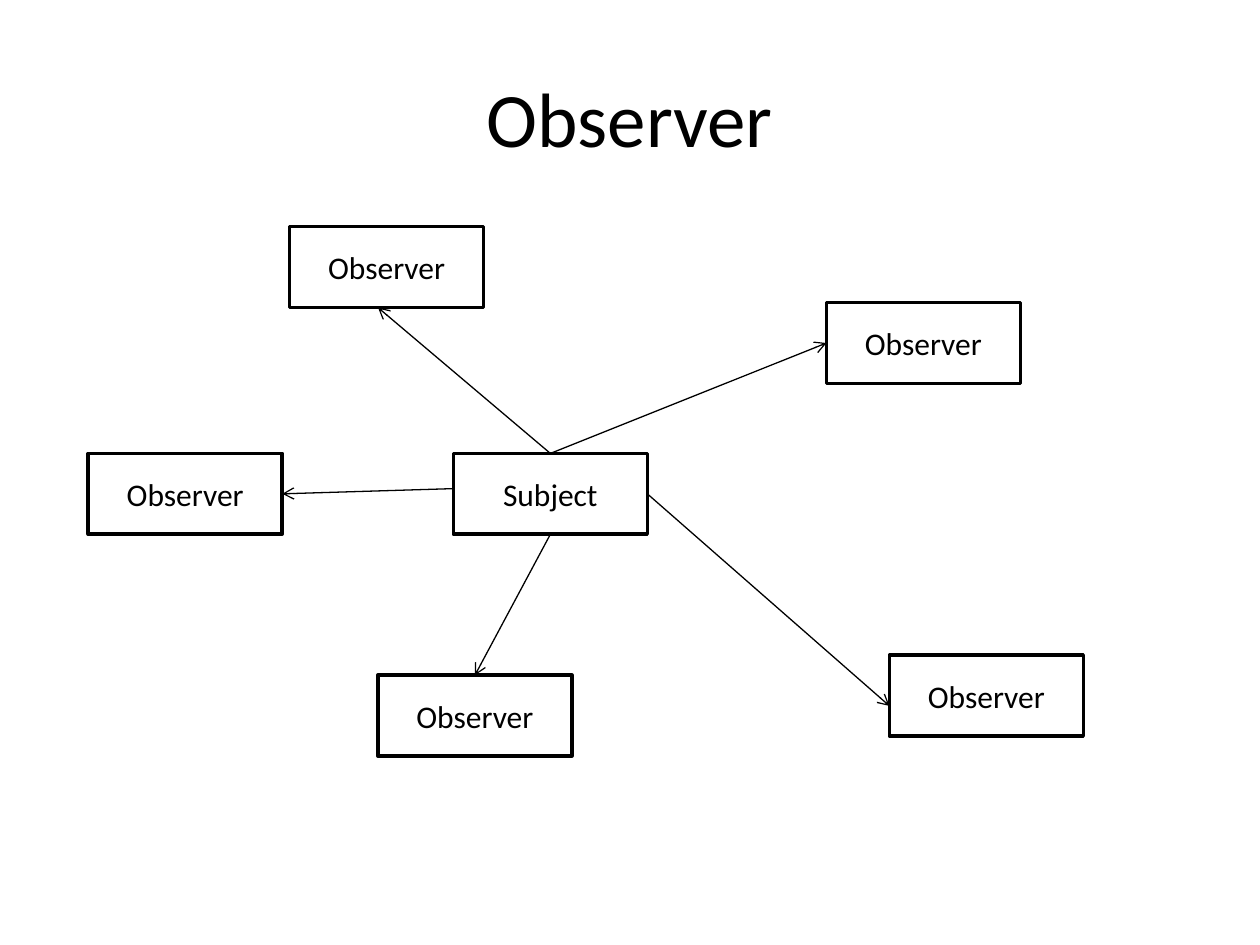
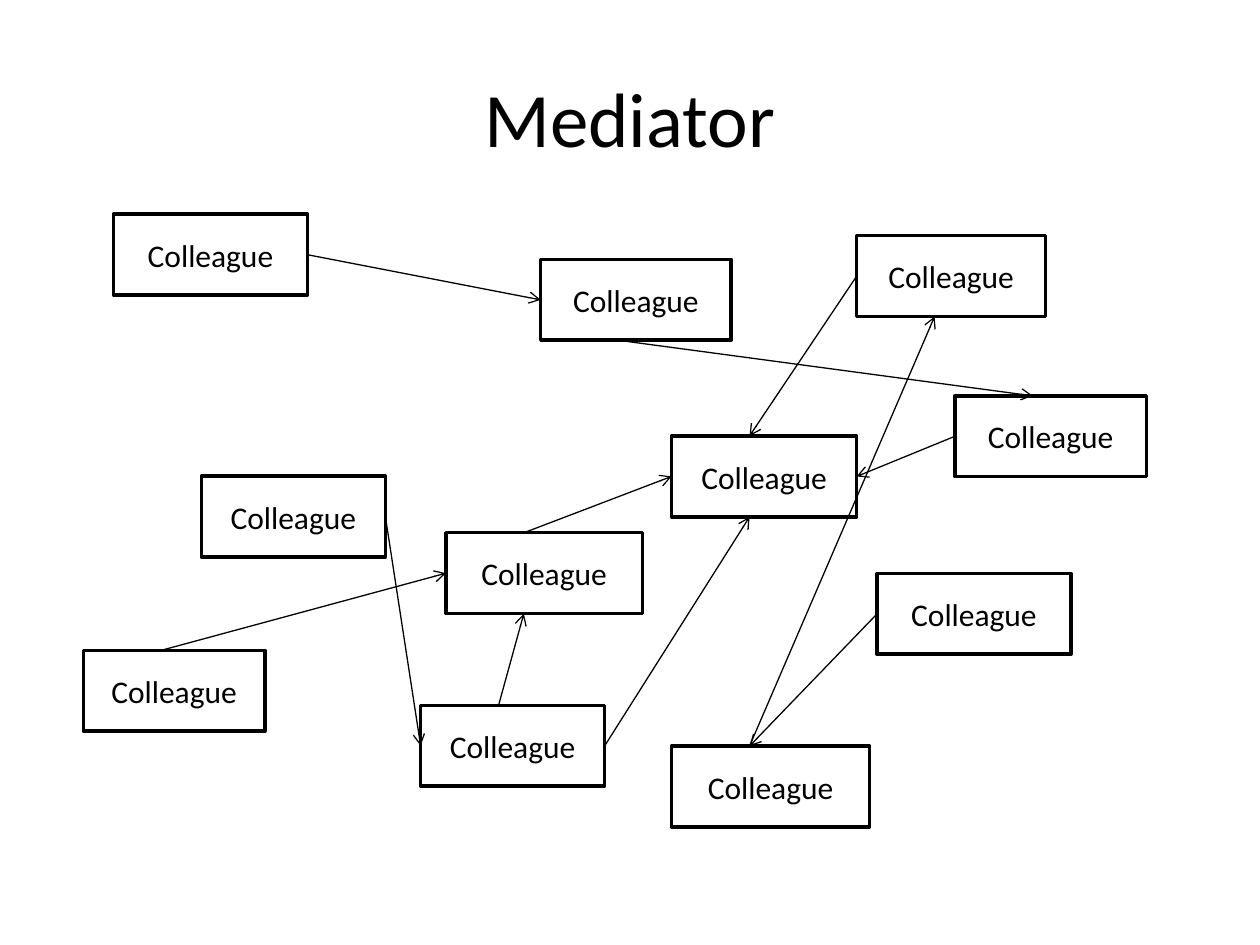
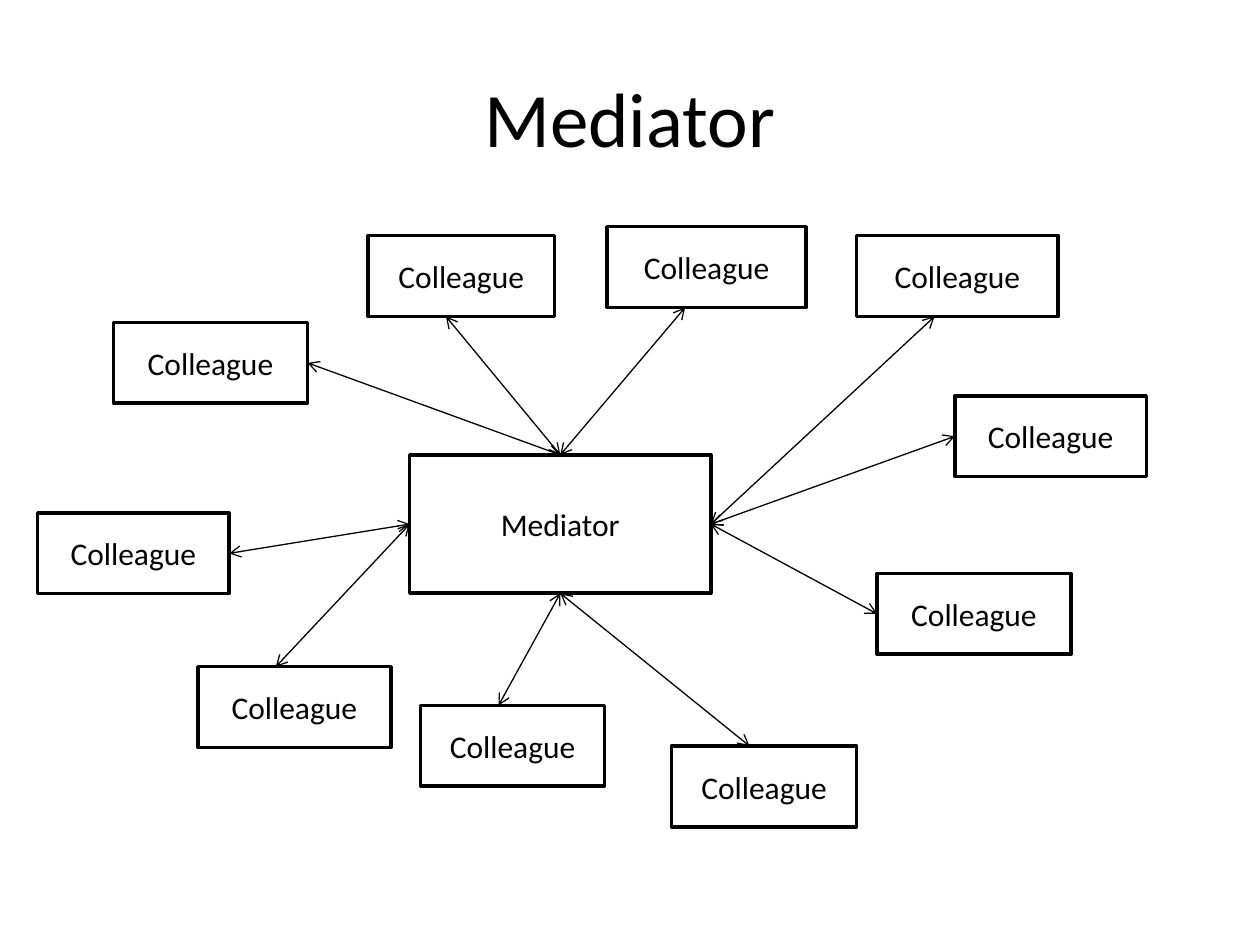
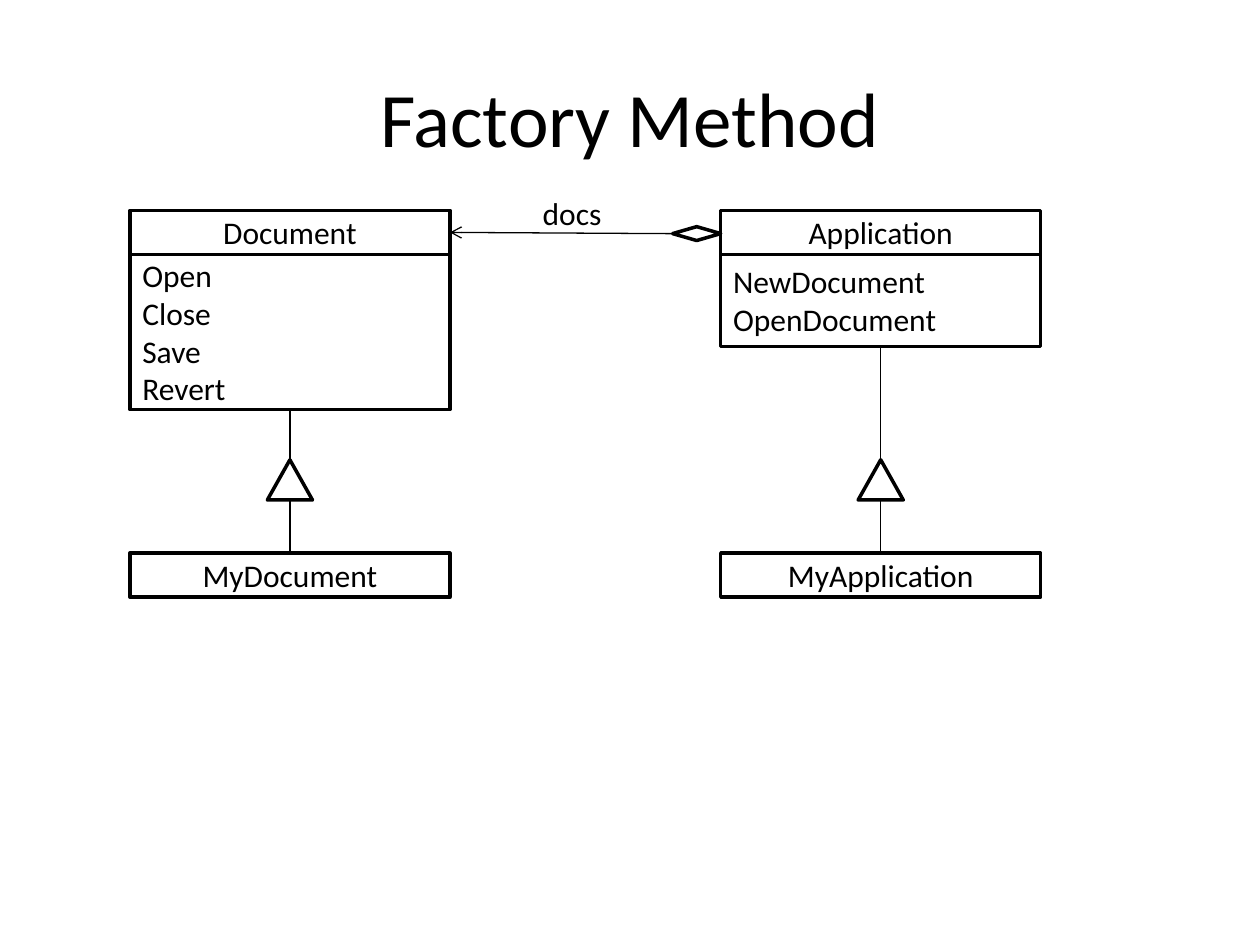
import enum
from dataclasses import dataclass
from typing import Optional

import pptx
import pptx.dml.color
import pptx.enum.shapes
import pptx.enum.text
import pptx.oxml.ns
import pptx.util
from lxml import etree

Cm, Pt = pptx.util.Cm, pptx.util.Pt
Shape = pptx.enum.shapes.MSO_SHAPE
Align = pptx.enum.text.PP_ALIGN
Anchor = pptx.enum.text.MSO_ANCHOR

COLORS = {"ink": "000000", "paper": "FFFFFF"}
FONT = "Calibri"
TITLE_SIZE, BODY_SIZE = 44, 18
BOX_LINE, LINK_LINE = 2, 0.75
BOX_WIDTH, BOX_HEIGHT = 3.91, 1.63
EDGE = 1.57  # distance from a colleague's left corner to its arrows
CLASS_WIDTH, HEADER_HEIGHT = 6.45, 0.89
HEADER_TOP, OPERATIONS_TOP, SUBCLASS_TOP = 4.24, 5.11, 11.15
TRIANGLE_TOP, TRIANGLE_WIDTH, TRIANGLE_HEIGHT = 9.27, 0.91, 0.81


class Side(enum.IntEnum):
    TOP = 0
    LEFT = 1
    BOTTOM = 2
    RIGHT = 3


@dataclass(frozen=True)
class Box:
    """A framed label; all lengths are centimetres."""
    key: str
    text: str
    left: float
    top: float
    width: float = BOX_WIDTH
    height: float = BOX_HEIGHT


@dataclass(frozen=True)
class End:
    """A link end: the middle of a side, or a distance along that side."""
    key: str
    side: Side
    along: Optional[float] = None


@dataclass(frozen=True)
class Link:
    start: End
    finish: End
    head: bool = False
    tail: bool = True


@dataclass(frozen=True)
class UmlClass:
    name: str
    left: float
    operations: tuple
    operations_height: float
    subclass: str


def rgb(name: str):
    return pptx.dml.color.RGBColor.from_string(COLORS[name])


# Text and shapes
def write(tf, lines: tuple, size: float, align=Align.CENTER) -> None:
    for i, line in enumerate(lines):
        p = tf.paragraphs[0] if i == 0 else tf.add_paragraph()
        p.alignment = align
        r = p.add_run()
        r.text = line
        r.font.name = FONT
        r.font.size = Pt(size)
        r.font.color.rgb = rgb("ink")


def add_outline(s, kind, left: float, top: float, width: float, height: float):
    sp = s.shapes.add_shape(kind, Cm(left), Cm(top), Cm(width), Cm(height))
    sp.shadow.inherit = False
    sp.fill.solid()
    sp.fill.fore_color.rgb = rgb("paper")
    sp.line.color.rgb = rgb("ink")
    sp.line.width = Pt(BOX_LINE)
    return sp


def add_box(s, box: Box, lines: tuple = (), align=Align.CENTER):
    sp = add_outline(s, Shape.RECTANGLE, box.left, box.top, box.width, box.height)
    tf = sp.text_frame
    tf.word_wrap = True
    tf.vertical_anchor = Anchor.MIDDLE
    write(tf, lines or (box.text,), BODY_SIZE, align)
    return sp


def add_titled_slide(prs, title: str):
    s = prs.slides.add_slide(prs.slide_layouts[6])
    sp = s.shapes.add_textbox(Cm(1.27), Cm(0.76), Cm(22.86), Cm(3.18))
    tf = sp.text_frame
    tf.word_wrap = True
    tf.vertical_anchor = Anchor.MIDDLE
    write(tf, (title,), TITLE_SIZE)
    return s


# Links
def locate(sp, end: End) -> tuple:
    if end.side in (Side.TOP, Side.BOTTOM):
        along = sp.width // 2 if end.along is None else Cm(end.along)
        return sp.left + along, sp.top + (sp.height if end.side == Side.BOTTOM else 0)
    along = sp.height // 2 if end.along is None else Cm(end.along)
    return sp.left + (sp.width if end.side == Side.RIGHT else 0), sp.top + along


def add_link(s, shapes: dict, link: Link) -> None:
    start, finish = shapes[link.start.key], shapes[link.finish.key]
    line = s.shapes.add_connector(
        pptx.enum.shapes.MSO_CONNECTOR.STRAIGHT,
        *locate(start, link.start), *locate(finish, link.finish))
    if link.start.along is None:
        line.begin_connect(start, int(link.start.side))
    if link.finish.along is None:
        line.end_connect(finish, int(link.finish.side))
    line.line.color.rgb = rgb("ink")
    line.line.width = Pt(LINK_LINE)
    qn = pptx.oxml.ns.qn
    properties = line._element.spPr
    ln = properties.find(qn("a:ln"))
    for shown, tag in ((link.head, "a:headEnd"), (link.tail, "a:tailEnd")):
        if shown:
            etree.SubElement(ln, qn(tag), type="arrow")
    etree.SubElement(properties, qn("a:effectLst"))


def add_network(prs, title: str, boxes: tuple, links: tuple) -> None:
    s = add_titled_slide(prs, title)
    shapes = {box.key: add_box(s, box) for box in boxes}
    for link in links:
        add_link(s, shapes, link)


# Observer: one subject notifies its observers
def observer_slide(prs) -> None:
    boxes = (
        Box("subject", "Subject", 9.14, 9.14),
        Box("upper left", "Observer", 5.84, 4.57),
        Box("left", "Observer", 1.78, 9.14),
        Box("lower right", "Observer", 17.93, 13.21),
        Box("bottom", "Observer", 7.62, 13.61),
        Box("upper right", "Observer", 16.66, 6.1),
    )
    links = (
        Link(End("subject", Side.BOTTOM), End("bottom", Side.TOP)),
        Link(End("subject", Side.LEFT, 0.71), End("left", Side.RIGHT)),
        Link(End("subject", Side.TOP), End("upper left", Side.BOTTOM, 1.78)),
        Link(End("subject", Side.TOP), End("upper right", Side.LEFT)),
        Link(End("subject", Side.RIGHT), End("lower right", Side.LEFT, 1.02)),
    )
    add_network(prs, "Observer", boxes, links)


# Mediator: colleagues without and with a mediator
def colleague(key: str, left: float, top: float, width: float = BOX_WIDTH) -> Box:
    return Box(key, "Colleague", left, top, width)


def colleague_end(key: str, side: Side) -> End:
    return End(key, side, EDGE if side in (Side.TOP, Side.BOTTOM) else None)


SHARED_COLLEAGUES = (
    colleague("right", 19.25, 7.98, 3.86),
    colleague("bottom", 8.48, 14.22, 3.71),
    colleague("lower right", 17.68, 11.56),
)


def tangled_slide(prs) -> None:
    boxes = SHARED_COLLEAGUES + (
        colleague("upper left", 2.29, 4.32),
        colleague("upper right", 17.27, 4.75, 3.81),
        colleague("lower left", 1.68, 13.11, 3.66),
        colleague("bottom right", 13.54, 15.04, 3.99),
        colleague("inner", 8.99, 10.74, 3.96),
        colleague("center", 13.54, 8.79, 3.73),
        colleague("top", 10.9, 5.23, 3.84),
        colleague("left", 4.06, 9.6, 3.71),
    )
    routes = (
        ("upper left", Side.RIGHT, "top", Side.LEFT),
        ("upper right", Side.LEFT, "center", Side.TOP),
        ("top", Side.BOTTOM, "right", Side.TOP),
        ("inner", Side.TOP, "center", Side.LEFT),
        ("left", Side.RIGHT, "bottom", Side.LEFT),
        ("lower left", Side.TOP, "inner", Side.LEFT),
        ("bottom", Side.TOP, "inner", Side.BOTTOM),
        ("bottom", Side.RIGHT, "center", Side.BOTTOM),
        ("lower right", Side.LEFT, "bottom right", Side.TOP),
        ("bottom right", Side.TOP, "upper right", Side.BOTTOM),
        ("right", Side.LEFT, "center", Side.RIGHT),
    )
    links = tuple(Link(colleague_end(a, a_side), colleague_end(b, b_side))
                  for a, a_side, b, b_side in routes)
    add_network(prs, "Mediator", boxes, links)


def mediated_slide(prs) -> None:
    boxes = (Box("mediator", "Mediator", 8.26, 9.17, 6.07, 2.79),) + SHARED_COLLEAGUES + (
        colleague("upper right", 17.27, 4.75, 4.06),
        colleague("lower left", 3.99, 13.44, 3.89),
        colleague("bottom right", 13.54, 15.04, 3.73),
        colleague("top left", 7.42, 4.75, 3.76),
        colleague("top", 12.24, 4.57, 4.01),
        colleague("upper left", 2.29, 6.5),
        colleague("left", 0.76, 10.34, 3.86),
    )
    routes = (
        ("upper left", Side.RIGHT, Side.TOP),
        ("top left", Side.BOTTOM, Side.TOP),
        ("top", Side.BOTTOM, Side.TOP),
        ("upper right", Side.BOTTOM, Side.RIGHT),
        ("lower right", Side.LEFT, Side.RIGHT),
        ("right", Side.LEFT, Side.RIGHT),
        ("bottom right", Side.TOP, Side.BOTTOM),
        ("bottom", Side.TOP, Side.BOTTOM),
        ("lower left", Side.TOP, Side.LEFT),
        ("left", Side.RIGHT, Side.LEFT),
    )
    links = tuple(Link(colleague_end(key, side), End("mediator", mediator_side), head=True)
                  for key, side, mediator_side in routes)
    add_network(prs, "Mediator", boxes, links)


# Factory Method: two classes, each with a subclass
def add_class(s, uml: UmlClass):
    operations = add_box(
        s, Box("operations", "", uml.left, OPERATIONS_TOP, CLASS_WIDTH, uml.operations_height),
        uml.operations, Align.LEFT)
    header, subclass = (
        add_box(s, Box(name, name, uml.left, top, CLASS_WIDTH, HEADER_HEIGHT))
        for name, top in ((uml.name, HEADER_TOP), (uml.subclass, SUBCLASS_TOP)))
    triangle = add_outline(
        s, Shape.ISOSCELES_TRIANGLE, uml.left + (CLASS_WIDTH - TRIANGLE_WIDTH) / 2,
        TRIANGLE_TOP, TRIANGLE_WIDTH, TRIANGLE_HEIGHT)
    shapes = {"operations": operations, "triangle": triangle, "subclass": subclass}
    add_link(s, shapes, Link(End("operations", Side.BOTTOM), End("triangle", Side.TOP), tail=False))
    add_link(s, shapes, Link(End("triangle", Side.BOTTOM, TRIANGLE_WIDTH / 2),
                             End("subclass", Side.TOP), tail=False))
    return header


def factory_slide(prs) -> None:
    s = add_titled_slide(prs, "Factory Method")
    classes = (
        UmlClass("Document", 2.62, ("Open", "Close", "Save", "Revert"), 3.15, "MyDocument"),
        UmlClass("Application", 14.53, ("NewDocument", "OpenDocument"), 1.88, "MyApplication"),
    )
    shapes = {uml.name: add_class(s, uml) for uml in classes}
    shapes["diamond"] = add_outline(s, Shape.DIAMOND, 13.56, 4.57, 0.97, 0.28)
    add_link(s, shapes, Link(End("diamond", Side.LEFT), End("Document", Side.RIGHT)))
    # Association label, wide enough to stay on one line
    label = s.shapes.add_textbox(Cm(10.69), Cm(3.78), Cm(1.85), Cm(1.02))
    tf = label.text_frame
    tf.word_wrap = False
    write(tf, ("docs",), BODY_SIZE, Align.LEFT)


def main() -> None:
    prs = pptx.Presentation()
    prs.slide_width, prs.slide_height = Cm(25.4), Cm(19.05)
    observer_slide(prs)
    tangled_slide(prs)
    mediated_slide(prs)
    factory_slide(prs)
    prs.save("out.pptx")


if __name__ == "__main__":
    main()
